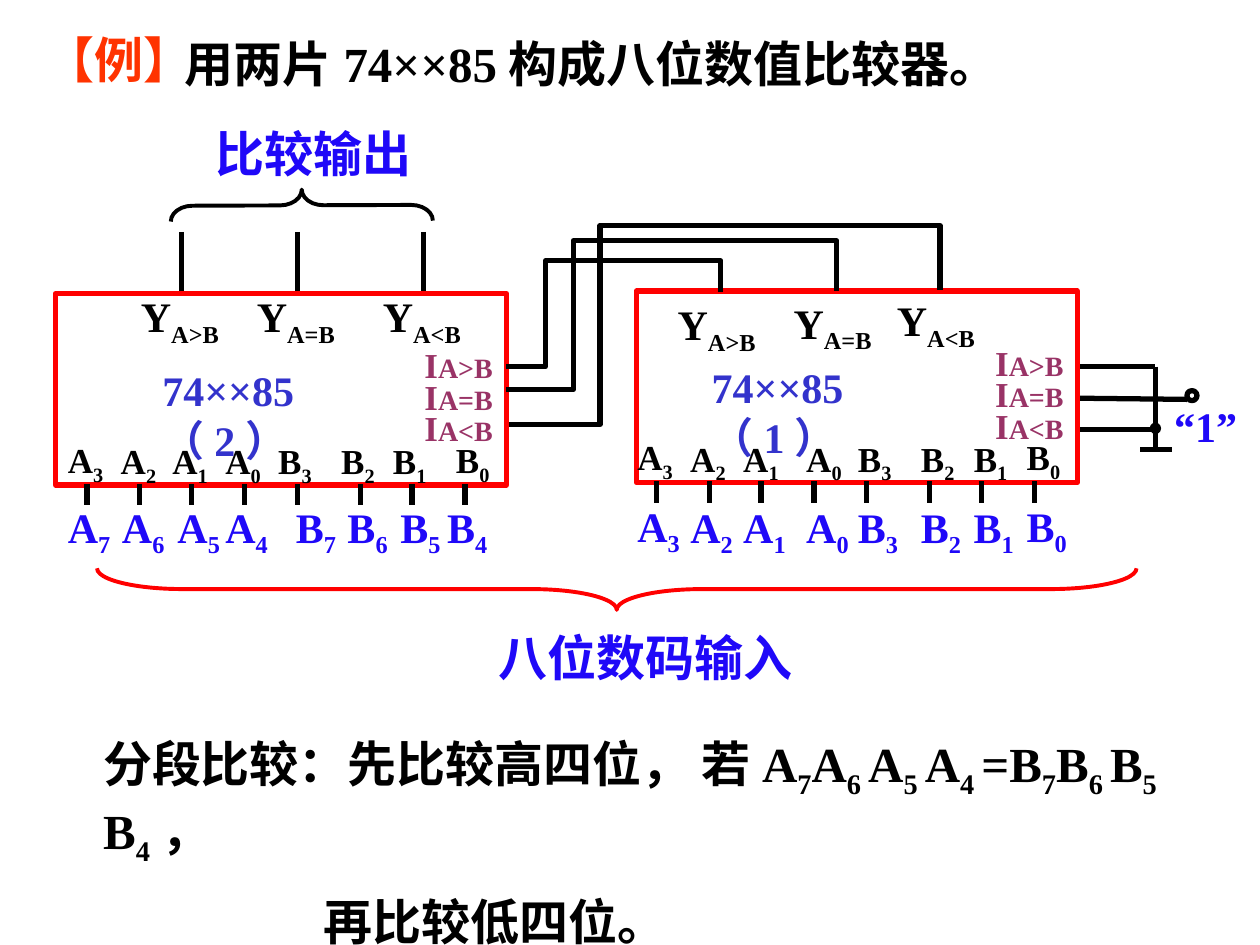
from lxml.etree import SubElement
from pptx import Presentation
from pptx.dml.color import RGBColor
from pptx.enum.shapes import MSO_CONNECTOR, MSO_SHAPE
from pptx.enum.text import MSO_ANCHOR, MSO_AUTO_SIZE, PP_ALIGN
from pptx.oxml.ns import qn
from pptx.util import Inches, Pt

COLORS = {
    "black": "000000",
    "white": "FFFFFF",
    "red": "FF0000",
    "orange": "FF3300",
    "blue": "1F08F8",
    "indigo": "3333CC",
    "plum": "993366",
}
FONT = "Times New Roman"
TICKS = [0, 0.42, 0.83, 1.25, 1.67, 2.17, 2.58, 3]
PINS = ["A|3", "A|2", "A|1", "A|0", "B|3", "B|2", "B|1", "B|0"]


def rgb(name):
    return RGBColor.from_string(COLORS[name])


class Deck:
    def __init__(self):
        self.prs = Presentation()
        self.prs.slide_width = Inches(10)
        self.prs.slide_height = Inches(7.5)
        self.s = self.prs.slides.add_slide(self.prs.slide_layouts[5])

    def runs(self, p, text, size, color, small=None):
        for i, part in enumerate(text.split("|")):
            r = p.add_run()
            r.text = part
            r.font.name = FONT
            r.font.size = Pt(size)
            r.font.bold = True
            r.font.color.rgb = rgb(color)
            if i % 2 and small:
                r.font.size = Pt(small)
            elif i % 2:
                r.font._element.set("baseline", "-25000")

    def title(self, text, x, y, w, h):
        sp = self.s.shapes.title
        sp.left, sp.top, sp.width, sp.height = map(Inches, (x, y, w, h))
        tf = sp.text_frame
        tf.auto_size = MSO_AUTO_SIZE.NONE
        tf.vertical_anchor = MSO_ANCHOR.MIDDLE
        p = tf.paragraphs[0]
        p.alignment = PP_ALIGN.LEFT
        self.runs(p, text, 28, "orange")

    def text(self, text, x, y, w, h, size, color, wrap=False, small=None):
        sp = self.s.shapes.add_textbox(*map(Inches, (x, y, w, h)))
        tf = sp.text_frame
        tf.word_wrap = wrap
        tf.auto_size = MSO_AUTO_SIZE.SHAPE_TO_FIT_TEXT
        self.runs(tf.paragraphs[0], text, size, color, small)
        return tf

    def tabbed(self, text, x, y, w, h, stops):
        tf = self.text(text, x, y, w, h, 24, "blue", wrap=True)
        tabs = SubElement(tf.paragraphs[0]._p.get_or_add_pPr(), qn("a:tabLst"))
        for stop in stops:
            SubElement(tabs, qn("a:tab"), pos=str(Inches(stop)), algn="l")

    def shape(self, kind, x, y, w, h, line, width, fill=None):
        sp = self.s.shapes.add_shape(kind, *map(Inches, (x, y, w, h)))
        sp.shadow.inherit = False
        if fill:
            sp.fill.solid()
            sp.fill.fore_color.rgb = rgb(fill)
        else:
            sp.fill.background()
        sp.line.color.rgb = rgb(line)
        sp.line.width = Pt(width)
        return sp

    def brace(self, x, y, w, h, rotation, curl, color):
        sp = self.shape(MSO_SHAPE.LEFT_BRACE, x, y, w, h, color, 2.25)
        sp.rotation = rotation
        sp.adjustments[0] = curl
        sp.adjustments[1] = 0.5

    def line(self, x1, y1, x2, y2, kind=MSO_CONNECTOR.STRAIGHT):
        c = self.s.shapes.add_connector(kind, *map(Inches, (x1, y1, x2, y2)))
        c.line.color.rgb = rgb("black")
        c.line.width = Pt(3)
        SubElement(c._element.spPr, qn("a:effectLst"))
        return c

    def wire(self, x1, y1, x2, y2, top, bend):
        cx, cy = (x1 + x2) / 2, (y1 + y2) / 2
        dx, dy = (y2 - y1) / 2, (x1 - x2) / 2
        c = self.line(cx + dx, cy + dy, cx - dx, cy - dy, MSO_CONNECTOR.ELBOW)
        c._element.spPr.find(qn("a:xfrm")).set("rot", str(270 * 60000))
        geom = c._element.spPr.find(qn("a:prstGeom"))
        geom.set("prst", "bentConnector4")
        guides = geom.find(qn("a:avLst"))
        if guides is None:
            guides = SubElement(geom, qn("a:avLst"))
        ratios = ((top - y1) / (y2 - y1), (x1 - bend) / (x1 - x2))
        for i, ratio in enumerate(ratios, 1):
            SubElement(guides, qn("a:gd"), name=f"adj{i}", fmla=f"val {round(ratio * 100000)}")

    def pins(self, xs, y, size):
        for x, pin in zip(xs, PINS):
            w = (0.5 if pin[0] == "A" else 0.48) + (size - 20) / 80
            lift = 0.01 if pin in ("A|3", "B|0") else 0
            self.text(pin, x, y - lift, w, size / 50, size, "black" if size == 20 else "blue")

    def chip(self, name, x, y, w, outputs, name_x, input_x, pin_xs, tick_x):
        self.shape(MSO_SHAPE.RECTANGLE, x, y, w, 1.52, "red", 3, "white")
        for sign, (out_x, out_y) in zip(">=<", outputs):
            self.text(f"Y|A{sign}B", out_x, out_y, 0.88, 0.5, 24, "black")
        for i, sign in enumerate(">=<"):
            self.text(f"I|A{sign}B", input_x, y + 0.35 + 0.25 * i, 0.77, 0.44, 20, "plum", small=16)
        self.pins(pin_xs, y + 1.11, 20)
        self.text(name, name_x, y + 0.51, 1.9, 0.5, 24, "indigo", wrap=True)
        for dx in TICKS:
            self.line(tick_x + dx, y + 1.51, tick_x + dx, y + 1.68)


def main():
    d = Deck()
    d.title("【例】", 0.26, 0.2, 1.46, 0.54)
    d.text("用两片74××85构成八位数值比较器。", 1.37, 0.22, 6.56, 0.57, 28, "black", wrap=True)

    tf = d.text("分段比较：先比较高四位， 若A|7|A|6 |A|5 |A|4 |=B|7|B|6 |B|5 |B|4|，",
                0.72, 5.77, 9.28, 1.28, 28, "black", wrap=True)
    p = tf.add_paragraph()
    p.space_before = Pt(14)
    p._p.get_or_add_pPr().set("marL", str(Inches(1.75)))
    d.runs(p, "再比较低四位。", 28, "black")

    d.brace(4.73, 0.55, 0.33, 8.25, 270, 2.06, "red")
    d.text("八位数码输入", 3.86, 4.93, 3.92, 0.57, 28, "blue", wrap=True)
    for x in (1.44, 2.36, 3.36):
        d.line(x, 1.84, x, 2.33)
    d.brace(2.27, 0.59, 0.25, 2.08, 89.8, 0.69, "black")
    d.text("比较输出", 1.61, 0.93, 2.08, 0.57, 28, "blue", wrap=True)

    high_xs = [0.44, 0.86, 1.27, 1.69, 2.11, 2.61, 3.02, 3.52]
    low_xs = [4.96, 5.38, 5.8, 6.3, 6.71, 7.21, 7.63, 8.05]
    d.chip("74××85（2）", 0.44, 2.33, 3.58, [(1.02, 2.26), (1.94, 2.26), (2.94, 2.26)],
           1.19, 3.27, high_xs, 0.69)
    d.tabbed("A|7\t|A|6\t|A|5\t|A|4", 0.44, 3.93, 1.87, 0.51, [0.43, 0.87, 1.25])
    d.tabbed("B|7\t|B|6\t|B|5\t|B|4", 2.25, 3.93, 1.83, 0.51, [0.41, 0.83, 1.2])

    d.text("“1”", 9.22, 3.13, 0.78, 0.5, 24, "blue", wrap=True)
    for ends in ((8.51, 2.91, 9.17, 2.91), (9.17, 2.91, 9.17, 3.57), (8.51, 3.41, 9.17, 3.41),
                 (8.51, 3.16, 9.42, 3.17), (9.05, 3.57, 9.3, 3.57)):
        d.line(*ends)
    d.shape(MSO_SHAPE.OVAL, 9.13, 3.36, 0.08, 0.08, "black", 0.75, "black")
    d.shape(MSO_SHAPE.OVAL, 9.42, 3.1, 0.08, 0.08, "black", 3)

    d.chip("74××85（1）", 5.05, 2.31, 3.5, [(5.28, 2.32), (6.2, 2.31), (7.02, 2.29)],
           5.55, 7.8, low_xs, 5.21)
    d.pins(low_xs, 3.93, 24)

    d.wire(5.72, 2.32, 4.02, 2.91, 2.07, 4.33)
    d.wire(6.64, 2.31, 4.02, 3.09, 1.91, 4.55)
    d.wire(7.46, 2.3, 4.04, 3.37, 1.79, 4.76)
    d.prs.save("out.pptx")


if __name__ == "__main__":
    main()
